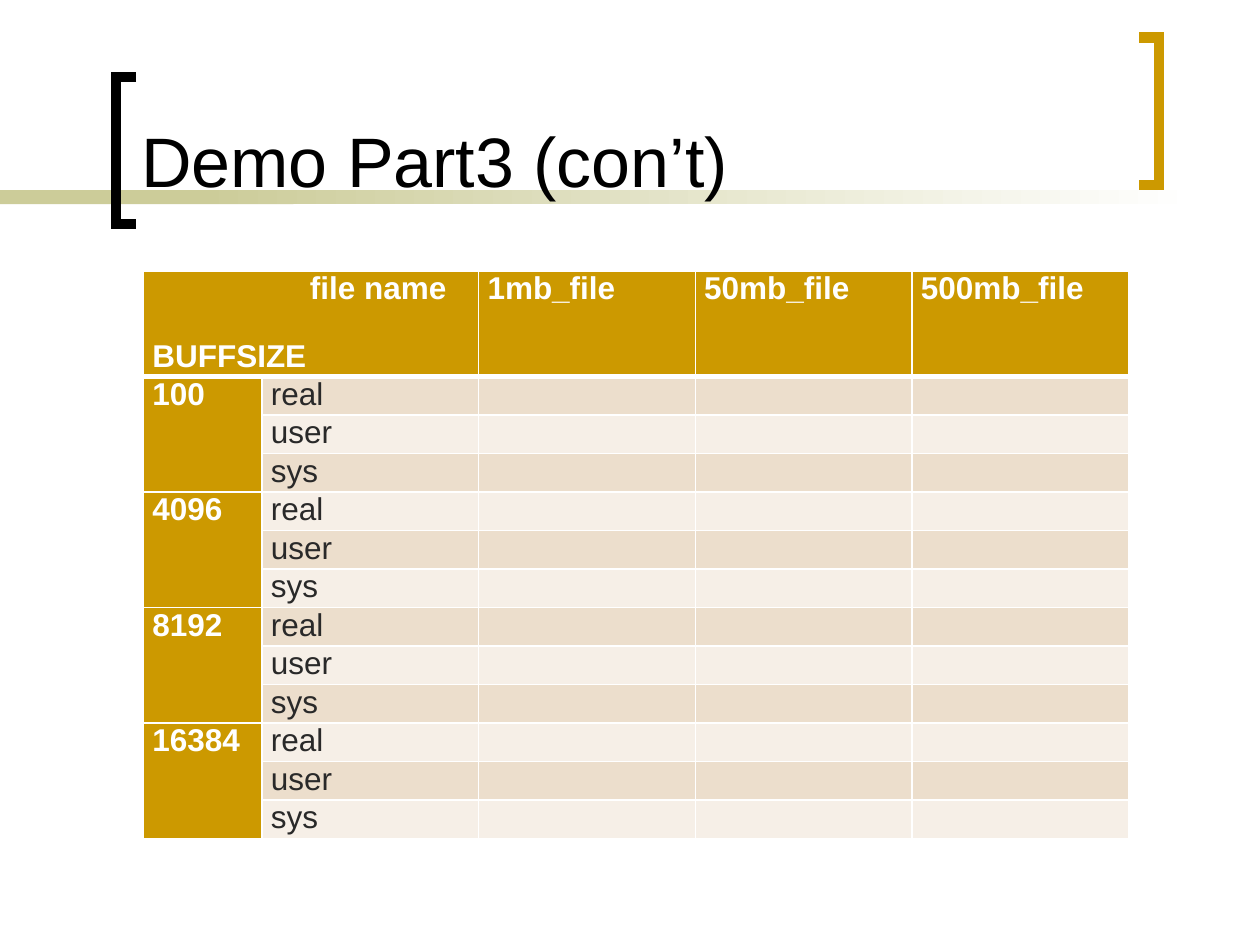
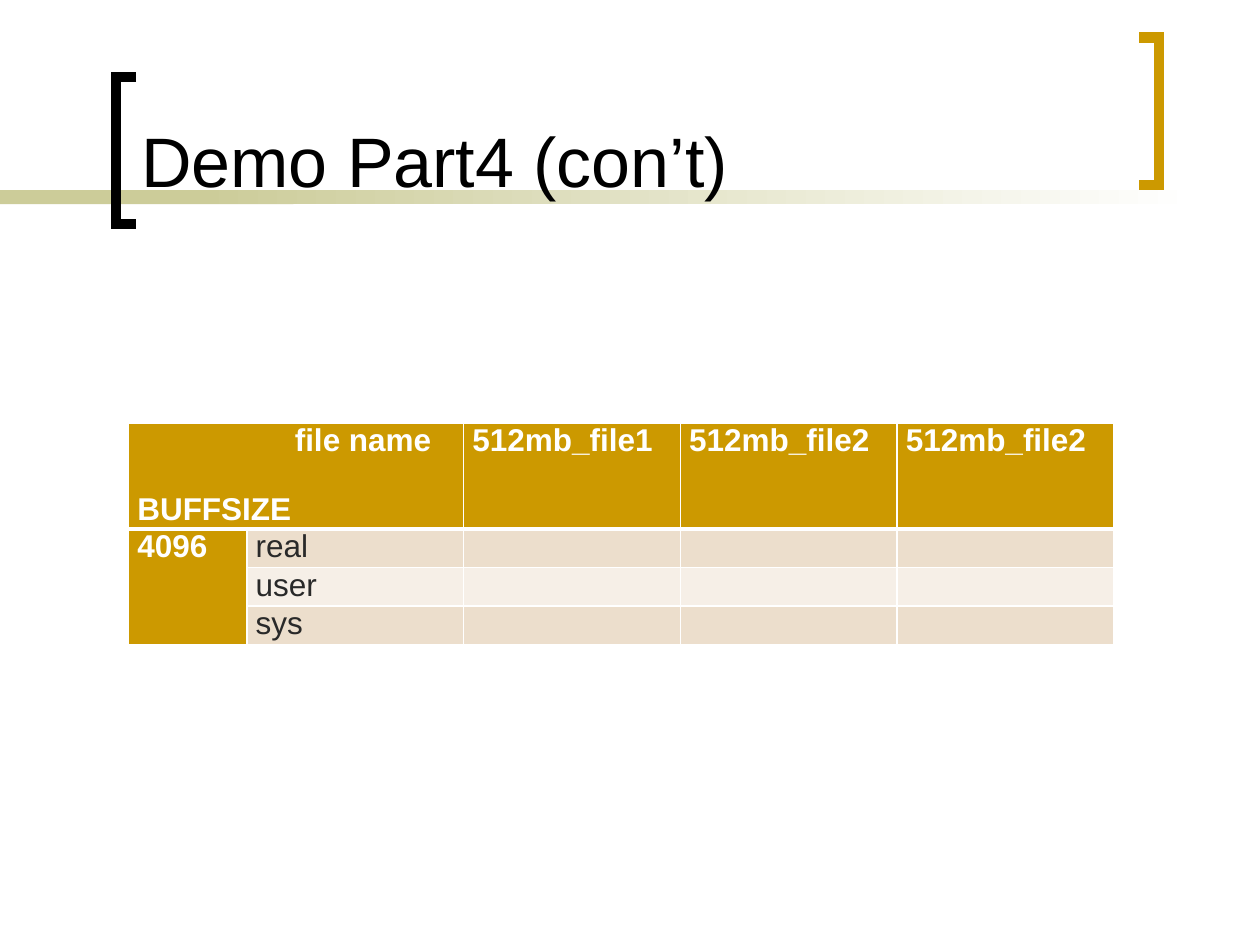
import pptx
import pptx.util
import pptx.dml.color
import pptx.enum.shapes
import pptx.enum.text
import pptx.oxml.ns

Inches = pptx.util.Inches
Pt = pptx.util.Pt
RGBColor = pptx.dml.color.RGBColor
qn = pptx.oxml.ns.qn

BLACK = RGBColor(0x00, 0x00, 0x00)
WHITE = RGBColor(0xFF, 0xFF, 0xFF)
GOLD = RGBColor(0xCC, 0x99, 0x00)
OLIVE = RGBColor(0xCC, 0xCC, 0x99)
INK = RGBColor(0x29, 0x29, 0x29)
BANDS = (RGBColor(0xEC, 0xDE, 0xCC), RGBColor(0xF6, 0xEF, 0xE7))

FONT = "Arial"
TIMES = ("real", "user", "sys")
HEAD = 0.84
WIDTHS = (0.94, 1.72, 1.72, 1.72, 1.72)


def add_run(para, text, size, color, bold=False):
    """Add one styled run to a paragraph."""
    run = para.add_run()
    run.text = text
    run.font.name = FONT
    run.font.size = Pt(size)
    run.font.bold = bold
    run.font.color.rgb = color


def add_bar(slide, left, width):
    """Add a flat strip of the title rule."""
    bar = slide.shapes.add_shape(
        pptx.enum.shapes.MSO_SHAPE.RECTANGLE,
        Inches(left), Inches(1.51), Inches(width), Inches(0.11))
    bar.shadow.inherit = False
    bar.line.fill.background()
    bar.fill.solid()
    bar.fill.fore_color.rgb = OLIVE
    return bar


def add_fade(slide, left, width):
    """Add a strip that fades to white."""
    bar = add_bar(slide, left, width)
    bar.fill.gradient()
    bar.fill.gradient_angle = 0
    for stop, place, color in zip(bar.fill.gradient_stops, (0, 1), (OLIVE, WHITE)):
        stop.position = place
        stop.color.rgb = color
    return bar


def add_hook(slide, tip, spine, top, color):
    """Add a square bracket open toward its tip."""
    tip, spine = Inches(tip), Inches(spine)
    high, low = Inches(top), Inches(top + 1.17)
    pen = slide.shapes.build_freeform(tip, high)
    pen.add_line_segments([(spine, high), (spine, low), (tip, low)], close=False)
    hook = pen.convert_to_shape()
    hook.shadow.inherit = False
    hook.fill.background()
    hook.line.color.rgb = color
    hook.line.width = Pt(6)
    line = hook.element.spPr.find(qn("a:ln"))
    line.append(line.makeelement(qn("a:miter"), {"lim": "800000"}))
    return hook


def set_frame(deck, slide):
    """Move the shared frame from a slide to the master."""
    parts = [
        add_bar(slide, 0, 2.33),
        add_fade(slide, 1.58, 7.92),
        add_hook(slide, 1.08, 0.92, 0.61, BLACK),
        add_hook(slide, 9.04, 9.2, 0.3, GOLD),
    ]
    tree = deck.slide_master.shapes.element
    for index, part in enumerate(parts):
        part.element.nvSpPr.cNvPr.set("id", str(100 + index))
        tree.append(part.element)


def set_title(slide, text):
    """Place and fill the title."""
    title = slide.shapes.title
    title.left, title.top = Inches(1.02), Inches(0.1)
    title.width, title.height = Inches(7.83), Inches(1.55)
    frame = title.text_frame
    frame.auto_size = pptx.enum.text.MSO_AUTO_SIZE.NONE
    frame.vertical_anchor = pptx.enum.text.MSO_ANCHOR.BOTTOM
    para = frame.paragraphs[0]
    para.alignment = pptx.enum.text.PP_ALIGN.LEFT
    add_run(para, text, 40, BLACK)


def set_edge(cell, side, width):
    """Draw one white cell border."""
    props = cell._tc.get_or_add_tcPr()
    line = props.makeelement(qn("a:ln" + side), {"w": str(Pt(width))})
    fill = line.makeelement(qn("a:solidFill"), {})
    fill.append(fill.makeelement(qn("a:srgbClr"), {"val": str(WHITE)}))
    line.append(fill)
    props.append(line)


def style_cell(cell, row, color):
    """Set the borders, insets and fill of a cell."""
    top = 3 if row == 1 else 1
    base = 3 if row == 0 else 1
    for side, width in (("L", 1), ("R", 1), ("T", top), ("B", base)):
        set_edge(cell, side, width)
    cell.margin_left = cell.margin_right = Inches(0.07)
    cell.margin_top = cell.margin_bottom = 0
    cell.fill.solid()
    cell.fill.fore_color.rgb = color


def fill_cell(cell, text, color=WHITE, bold=True):
    """Write one line in a cell."""
    add_run(cell.text_frame.paragraphs[0], text, 18, color, bold)


def fill_corner(cell):
    """Write the two axis names in the corner cell."""
    fill_cell(cell, "file name")
    first = cell.text_frame.paragraphs[0]
    first._p.get_or_add_pPr().set("marL", str(Inches(1.25)))
    last = cell.text_frame.add_paragraph()
    last.space_before = Pt(19)
    add_run(last, "BUFFSIZE", 18, WHITE, True)


def add_grid(slide, left, top, height, files, sizes):
    """Add a timing table with three rows for each buffer size."""
    count = len(sizes) * len(TIMES)
    grid = slide.shapes.add_table(
        count + 1, len(WIDTHS), Inches(left), Inches(top),
        Inches(sum(WIDTHS)), Inches(height)).table
    grid.first_row = grid.horz_banding = False
    for col, width in zip(grid.columns, WIDTHS):
        col.width = Inches(width)
    for index, row in enumerate(grid.rows):
        row.height = Inches((height - HEAD) / count if index else HEAD)
        for col, cell in enumerate(row.cells):
            gold = index == 0 or col == 0
            style_cell(cell, index, GOLD if gold else BANDS[(index - 1) % 2])
    grid.cell(0, 0).merge(grid.cell(0, 1))
    fill_corner(grid.cell(0, 0))
    for col, name in enumerate(files, 2):
        fill_cell(grid.cell(0, col), name)
    for block, size in enumerate(sizes):
        start = 1 + block * len(TIMES)
        grid.cell(start, 0).merge(grid.cell(start + len(TIMES) - 1, 0))
        fill_cell(grid.cell(start, 0), size)
        for step, name in enumerate(TIMES):
            fill_cell(grid.cell(start + step, 1), name, INK, False)


def main():
    """Build and save the deck."""
    deck = pptx.Presentation()
    deck.slide_width, deck.slide_height = Inches(10), Inches(7.5)
    plain = deck.slide_layouts[5]

    third = deck.slides.add_slide(plain)
    set_frame(deck, third)
    set_title(third, "Demo Part3 (con’t)")
    add_grid(third, 1.14, 2.15, 4.5,
             ("1mb_file", "50mb_file", "500mb_file"),
             ("100", "4096", "8192", "16384"))

    fourth = deck.slides.add_slide(plain)
    set_title(fourth, "Demo Part4 (con’t)")
    add_grid(fourth, 1.02, 3.36, 1.75,
             ("512mb_file1", "512mb_file2", "512mb_file2"),
             ("4096",))

    deck.save("out.pptx")


main()
